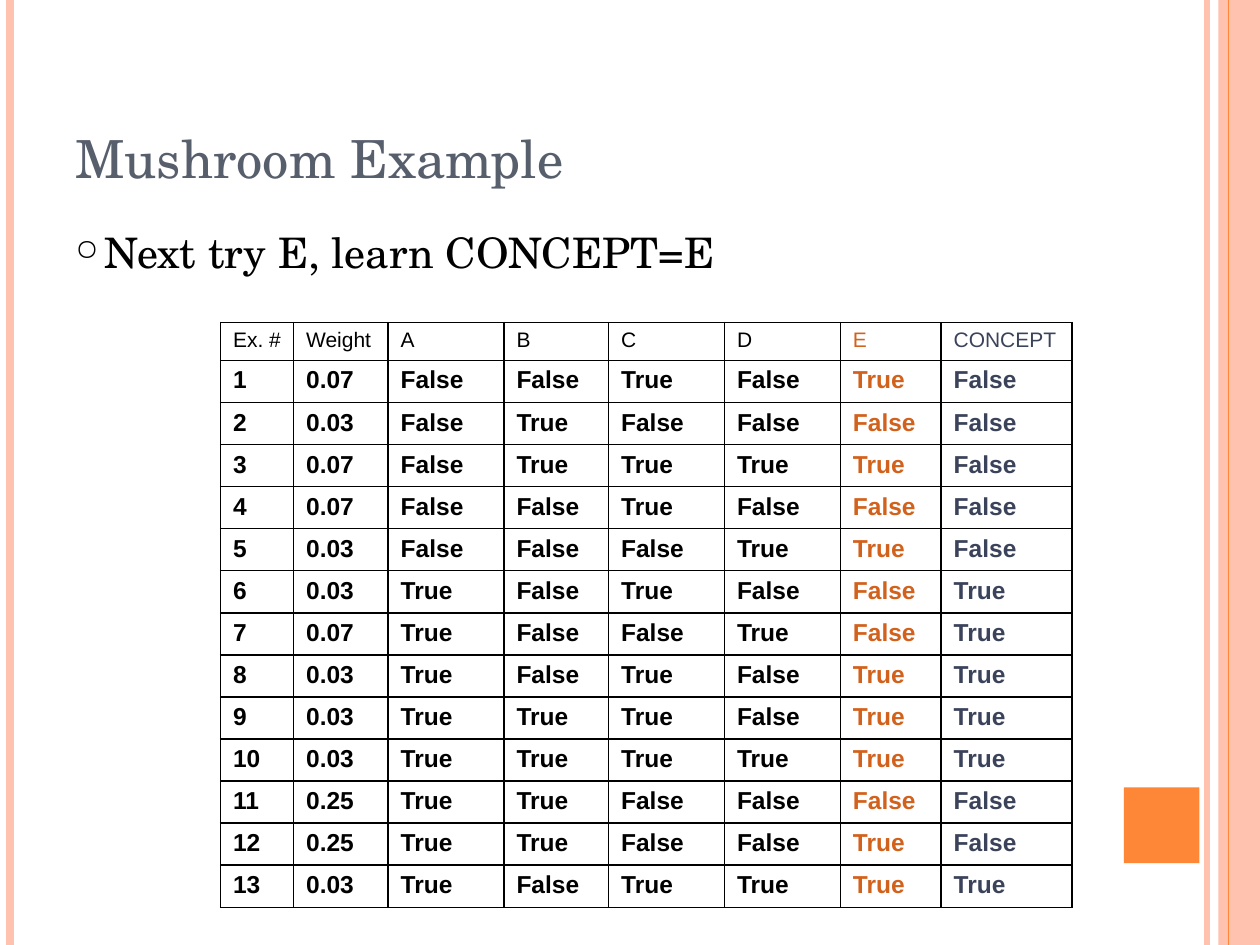
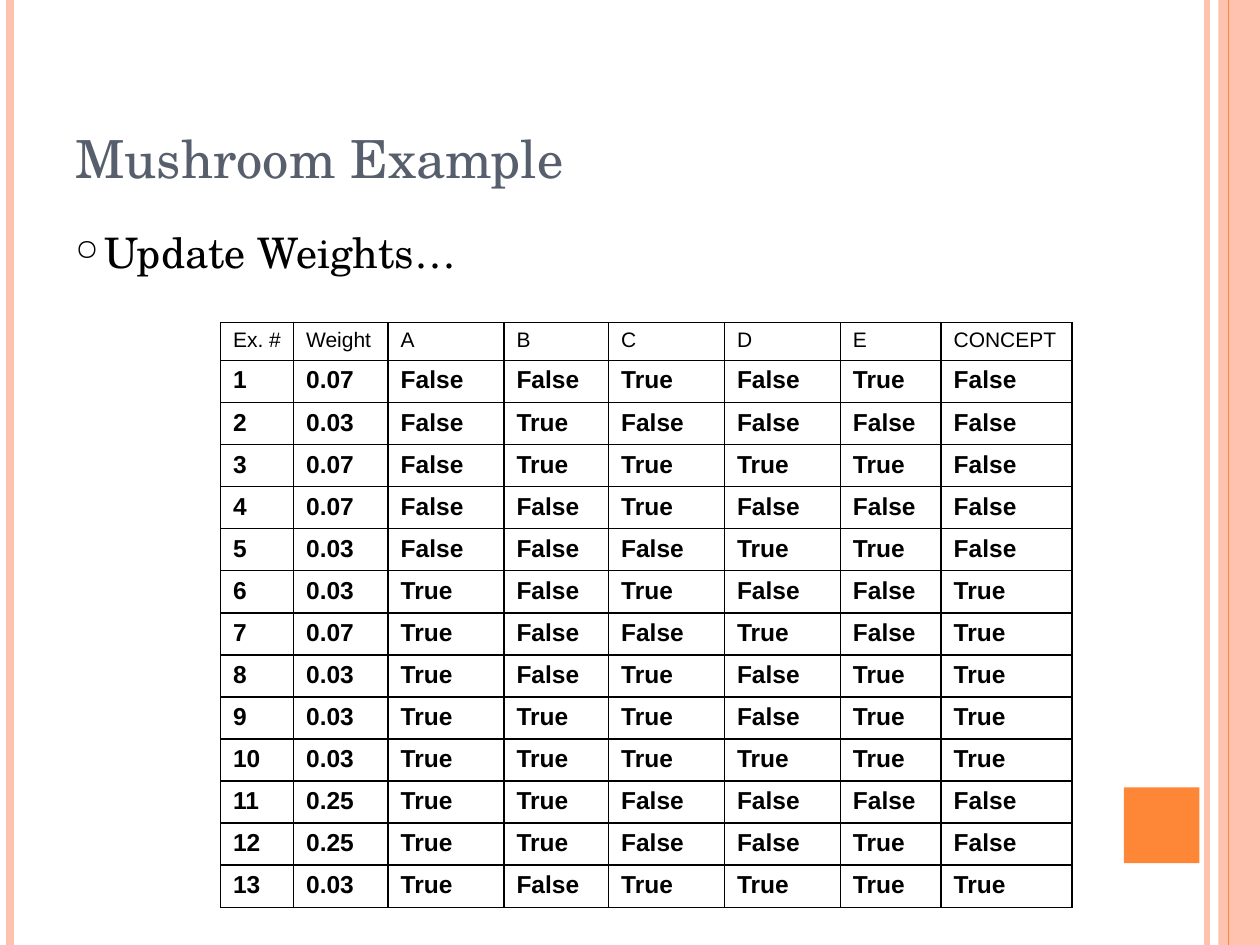
import pptx
import pptx.dml.color
import pptx.enum.shapes
import pptx.enum.text
import pptx.oxml
import pptx.oxml.ns
import pptx.util
from dataclasses import dataclass

Inches = pptx.util.Inches
RGB = pptx.dml.color.RGBColor.from_string


@dataclass(frozen=True)
class Theme:
    peach: str = "FEC2AE"
    orange: str = "FE8637"
    slate: str = "575F6D"
    rust: str = "D2611C"
    navy: str = "3B435B"
    black: str = "000000"
    serif: str = "TeX Gyre Schola"
    sans: str = "Arial"
    title: int = 30
    body: int = 24
    head: int = 12
    cell: int = 14


theme = Theme()


def write(frame, text, size, font=theme.sans, color=theme.black, bold=False):
    """Put one formatted line of text in a frame and return its paragraph."""
    line = frame.paragraphs[0]
    run = line.add_run()
    run.text = text
    run.font.size = pptx.util.Pt(size)
    run.font.name = font
    run.font.bold = bold
    run.font.color.rgb = RGB(color)
    return line


def add_xml(parent, markup):
    """Append an element of the drawing namespace."""
    space = pptx.oxml.ns.nsdecls("a")
    tag, rest = markup.split(" ", 1)
    parent.append(pptx.oxml.parse_xml(f"{tag} {space} {rest}"))


# Mushroom data: weight, then A to E and CONCEPT as T or F
heads = ["Ex. #", "Weight", "A", "B", "C", "D", "E", "CONCEPT"]
widths = [0.58, 0.75, 0.92, 0.83, 0.92, 0.92, 0.8, 1.04]
data = [
    ("0.07", "FFTFTF"),
    ("0.03", "FTFFFF"),
    ("0.07", "FTTTTF"),
    ("0.07", "FFTFFF"),
    ("0.03", "FFFTTF"),
    ("0.03", "TFTFFT"),
    ("0.07", "TFFTFT"),
    ("0.03", "TFTFTT"),
    ("0.03", "TTTFTT"),
    ("0.03", "TTTTTT"),
    ("0.25", "TTFFFF"),
    ("0.25", "TTFFTF"),
    ("0.03", "TFTTTT"),
]
words = {"T": "True", "F": "False"}
rows = [heads]
for num, (weight, flags) in enumerate(data, 1):
    rows.append([str(num), weight] + [words[flag] for flag in flags])

# Side bands, back to front: rules are (x, colour, points)
rules_low = [(9.58, theme.peach, 3), (0.08, theme.peach, 4.5), (9.83, theme.orange, 1.5)]
rules_top = [(9.75, theme.orange, 0.75)]
blocks = [((9.67, 0, 0.33, 7.5), theme.peach), ((8.92, 6.25, 0.6, 0.6), theme.orange)]

# What differs by slide: bullet text and the coloured columns
pages = [
    ("Next try E, learn CONCEPT=E", {"E": theme.rust, "CONCEPT": theme.navy}),
    ("Update Weights…", {}),
]

deck = pptx.Presentation()
deck.slide_width = Inches(10)
deck.slide_height = Inches(7.5)

for point, tints in pages:
    slide = deck.slides.add_slide(deck.slide_layouts[6])
    shapes = slide.shapes

    # Bands and rules
    for rules, (box, color) in zip([rules_low, rules_top], blocks):
        for x, tint, width in rules:
            rule = shapes.add_connector(
                pptx.enum.shapes.MSO_CONNECTOR.STRAIGHT,
                Inches(x), 0, Inches(x), deck.slide_height)
            rule.line.color.rgb = RGB(tint)
            rule.line.width = pptx.util.Pt(width)
            add_xml(rule._element.spPr, "<a:effectLst />")
        block = shapes.add_shape(
            pptx.enum.shapes.MSO_SHAPE.RECTANGLE, *map(Inches, box))
        block.shadow.inherit = False
        block.fill.solid()
        block.fill.fore_color.rgb = RGB(color)
        block.line.fill.background()

    # Title
    frame = shapes.add_textbox(*map(Inches, (0.5, 0.3, 8.17, 1.25))).text_frame
    frame.word_wrap = True
    frame.vertical_anchor = pptx.enum.text.MSO_ANCHOR.BOTTOM
    write(frame, "Mushroom Example", theme.title, font=theme.serif, color=theme.slate)

    # Bullet point
    frame = shapes.add_textbox(*map(Inches, (0.5, 1.75, 8.17, 5.33))).text_frame
    frame.word_wrap = True
    props = write(frame, point, theme.body, font=theme.serif)._p.get_or_add_pPr()
    props.set("marL", str(Inches(0.23)))
    props.set("indent", str(-Inches(0.23)))
    add_xml(props, '<a:buSzPct val="70000"/>')
    add_xml(props, '<a:buChar char="○"/>')

    # Table
    table = shapes.add_table(
        len(rows), len(heads), *map(Inches, (1.75, 2.56, 6.75, 4.63))).table
    table.first_row = table.horz_banding = False
    for col, width in zip(table.columns, widths):
        col.width = Inches(width)
    for r, texts in enumerate(rows):
        table.rows[r].height = Inches(1 / 3 if r else 0.3)
        for c, text in enumerate(texts):
            cell = table.cell(r, c)
            write(cell.text_frame, text, theme.cell if r else theme.head,
                  color=tints.get(heads[c], theme.black), bold=r > 0)
            props = cell._tc.get_or_add_tcPr()
            for side in "LRTB":
                add_xml(props, f'<a:ln{side} w="12700"><a:solidFill>'
                        f'<a:srgbClr val="{theme.black}"/></a:solidFill></a:ln{side}>')
            cell.fill.background()

deck.save("out.pptx")
